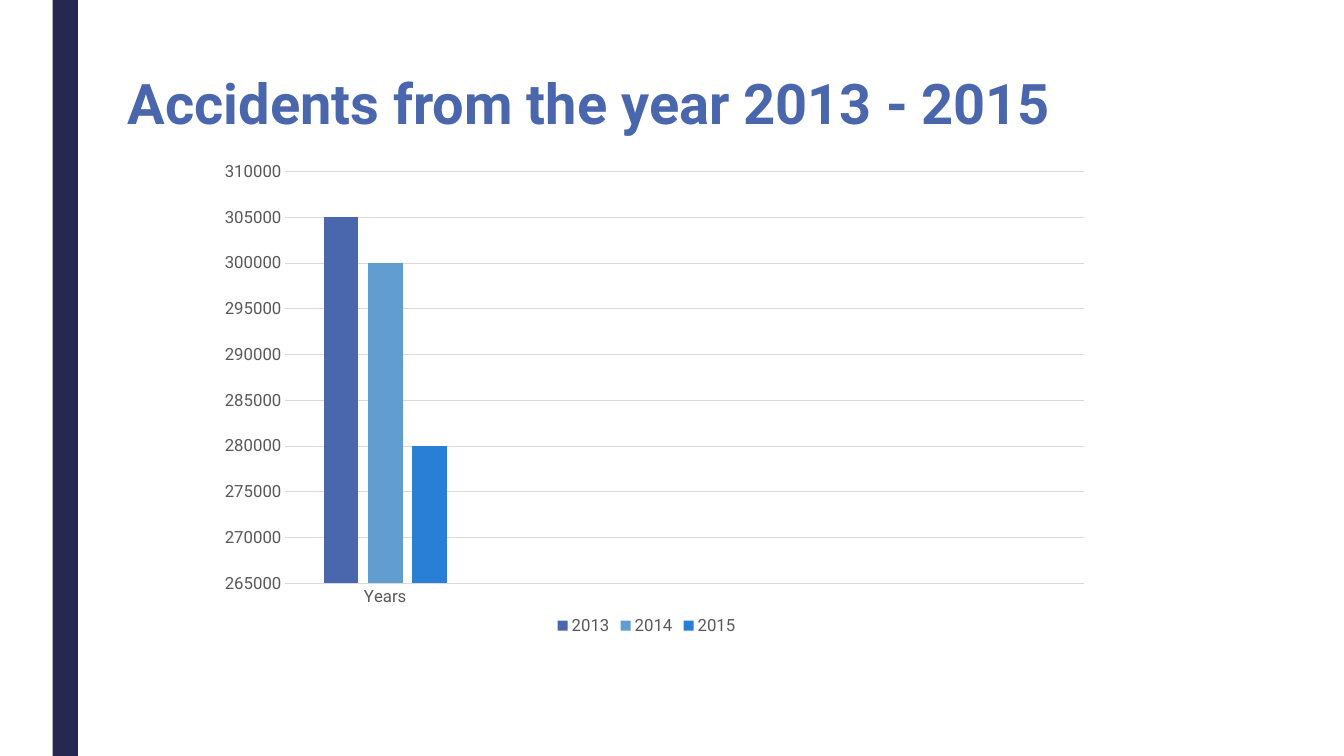
from pptx import Presentation
from pptx.chart.data import CategoryChartData
from pptx.dml.color import RGBColor
from pptx.enum.chart import XL_CHART_TYPE, XL_LEGEND_POSITION, XL_TICK_MARK
from pptx.enum.shapes import MSO_SHAPE
from pptx.enum.text import MSO_ANCHOR
from pptx.oxml import parse_xml
from pptx.oxml.ns import nsdecls
from pptx.util import Inches, Pt

theme = {
    "font": "Roboto",
    "stripe": RGBColor.from_string("242852"),
    "title": RGBColor.from_string("4A66AC"),
    "label": RGBColor.from_string("595959"),
    "grid": RGBColor.from_string("D9D9D9"),
    "series": [RGBColor.from_string(code) for code in ("4A66AC", "629DD1", "297FD5")],
    "title_size": Pt(40),
    "label_size": Pt(12),
    "hairline": Pt(0.75),
}
accidents = {"2013": 305000, "2014": 300000, "2015": 280000}
categories = ["Years", "", "", ""]

deck = Presentation()
deck.slide_width, deck.slide_height = Inches(13.33), Inches(7.5)
page = deck.slides.add_slide(deck.slide_layouts[6])
column, row = deck.slide_width / 100, deck.slide_height / 100


def area(left, top, width, height):
    return round(left * column), round(top * row), round(width * column), round(height * row)


def apply_format(target, values):
    for name, value in values.items():
        setattr(target, name, value)


stripe = page.shapes.add_shape(MSO_SHAPE.RECTANGLE, *area(3.92, 0, 1.88, 100))
stripe.shadow.inherit = False
stripe.fill.solid()
stripe.fill.fore_color.rgb = theme["stripe"]
stripe.line.fill.background()

title_box = page.shapes.add_textbox(*area(8.77, 9.6, 78.77, 10.93))
apply_format(title_box.text_frame, {
    "word_wrap": True,
    "vertical_anchor": MSO_ANCHOR.TOP,
    "margin_top": Inches(0.04),
})
para = title_box.text_frame.paragraphs[0]
para.line_spacing = 0.89
span = para.add_run()
span.text = "Accidents from the year 2013 - 2015"
apply_format(span.font, {"name": theme["font"], "size": theme["title_size"], "bold": True})
span.font.color.rgb = theme["title"]

chart_data = CategoryChartData(number_format="General")
chart_data.categories = categories
for year, total in accidents.items():
    chart_data.add_series(year, [total] + [None] * (len(categories) - 1))

chart = page.shapes.add_chart(
    XL_CHART_TYPE.COLUMN_CLUSTERED, *area(14.77, 20.47, 66.68, 64.13), chart_data
).chart
apply_format(chart, {"has_title": False, "has_legend": True})
apply_format(chart.legend, {"position": XL_LEGEND_POSITION.BOTTOM, "include_in_layout": False})

for font in (chart.font, chart.legend.font,
             chart.category_axis.tick_labels.font, chart.value_axis.tick_labels.font):
    apply_format(font, {"name": theme["font"], "size": theme["label_size"]})
    font.color.rgb = theme["label"]

for axis in (chart.category_axis, chart.value_axis):
    apply_format(axis, {"major_tick_mark": XL_TICK_MARK.NONE, "minor_tick_mark": XL_TICK_MARK.NONE})
apply_format(chart.value_axis, {
    "minimum_scale": 265000,
    "maximum_scale": 310000,
    "major_unit": 5000,
    "has_major_gridlines": True,
})
for line in (chart.category_axis.format.line, chart.value_axis.major_gridlines.format.line):
    line.color.rgb = theme["grid"]
    line.width = theme["hairline"]
chart.value_axis.format.line.fill.background()

plot = chart.plots[0]
apply_format(plot, {"gap_width": 219, "overlap": -27, "vary_by_categories": False})
for series, color in zip(plot.series, theme["series"]):
    series.format.fill.solid()
    series.format.fill.fore_color.rgb = color

plot_frame = {
    "layoutTarget": "inner", "xMode": "edge", "yMode": "edge",
    "x": 0.097, "y": 0.035, "w": 0.891, "h": 0.849,
}
settings = "".join(f'<c:{name} val="{value}"/>' for name, value in plot_frame.items())
plot_area = chart.element.find(".//{*}plotArea")
for layout in plot_area.findall("{*}layout"):
    plot_area.remove(layout)
plot_area.insert(0, parse_xml(
    f'<c:layout {nsdecls("c")}><c:manualLayout>{settings}</c:manualLayout></c:layout>'
))

deck.save("out.pptx")
